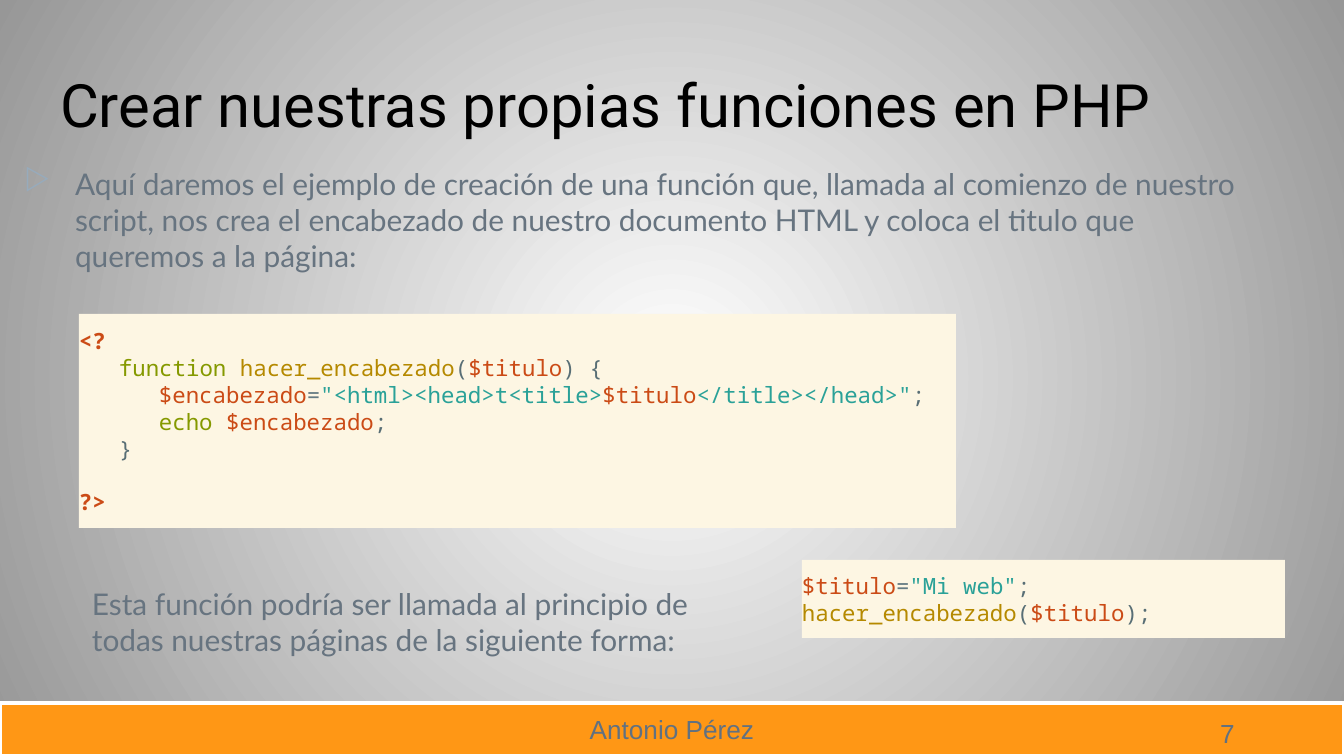
"""Build the slide on writing our own PHP functions."""
from pptx import Presentation
from pptx.dml.color import RGBColor
from pptx.enum.shapes import MSO_SHAPE
from pptx.enum.text import MSO_ANCHOR, PP_ALIGN
from pptx.oxml import parse_xml
from pptx.oxml.ns import nsdecls
from pptx.util import Pt

RECTANGLE = MSO_SHAPE.RECTANGLE
TOP, MIDDLE, BOTTOM = MSO_ANCHOR.TOP, MSO_ANCHOR.MIDDLE, MSO_ANCHOR.BOTTOM
LEFT, CENTER = PP_ALIGN.LEFT, PP_ALIGN.CENTER

BLACK = RGBColor(0x00, 0x00, 0x00)
WHITE = RGBColor(0xFF, 0xFF, 0xFF)
GRAY = RGBColor(0x97, 0x97, 0x97)
ORANGE = RGBColor(0xFF, 0x97, 0x15)
FOOTER_GRAY = RGBColor(0x61, 0x71, 0x81)
BODY_GRAY = RGBColor(0x67, 0x74, 0x80)
BULLET_BLUE = RGBColor(0x97, 0xAB, 0xBC)
CREAM = RGBColor(0xFD, 0xF6, 0xE3)
VARIABLE = RGBColor(0xCB, 0x4B, 0x16)
KEYWORD = RGBColor(0x85, 0x99, 0x00)
FUNCTION = RGBColor(0xB5, 0x89, 0x00)
STRING = RGBColor(0x2A, 0xA1, 0x98)
OPERATOR = RGBColor(0x65, 0x7B, 0x83)
PUNCTUATION = RGBColor(0x58, 0x6E, 0x75)

EMU_PER_PX = 914400 / 134.4
CODE_INDENT = 40

HEADER_CODE = [
    (0, [("<?", VARIABLE)]),
    (1, [("function ", KEYWORD), ("hacer_encabezado", FUNCTION), ("(", PUNCTUATION),
         ("$titulo", VARIABLE), (") {", PUNCTUATION)]),
    (2, [("$encabezado", VARIABLE), ("=", OPERATOR), ('"<html><head>t<title>', STRING),
         ("$titulo", VARIABLE), ('</title></head>"', STRING), (";", PUNCTUATION)]),
    (2, [("echo ", KEYWORD), ("$encabezado", VARIABLE), (";", PUNCTUATION)]),
    (1, [("}", PUNCTUATION)]),
    (0, [("?>", VARIABLE)]),
]
CALL_CODE = [
    (0, [("$titulo", VARIABLE), ("=", OPERATOR), ('"Mi web"', STRING), (";", PUNCTUATION)]),
    (0, [("hacer_encabezado", FUNCTION), ("(", PUNCTUATION), ("$titulo", VARIABLE),
         (");", PUNCTUATION)]),
]


def px(length):
    """Turn pixels into EMU."""
    return round(length * EMU_PER_PX)


class SlideBuilder:
    """Hold the style and the current slide."""

    def __init__(self, deck):
        self.slide = deck.slides.add_slide(deck.slide_layouts[5])

    def background(self, inner, outer):
        """Fill the slide with a circular gradient."""
        self.slide._element.cSld.insert(0, parse_xml(
            f'<p:bg {nsdecls("p", "a")}><p:bgPr><a:gradFill><a:gsLst>'
            f'<a:gs pos="0"><a:srgbClr val="{inner}"/></a:gs>'
            f'<a:gs pos="100000"><a:srgbClr val="{outer}"/></a:gs></a:gsLst>'
            '<a:path path="circle"><a:fillToRect l="50000" t="50000" r="50000" b="50000"/>'
            '</a:path></a:gradFill><a:effectLst/></p:bgPr></p:bg>'))

    def style(self, span, font, size, color, bold=False):
        """Format one run."""
        span.font.name, span.font.size, span.font.bold = font, Pt(size), bold
        span.font.color.rgb = color

    def frame(self, box, anchor, across, down):
        """Set wrapping, anchor and insets of a box."""
        frame = box.text_frame
        frame.word_wrap, frame.vertical_anchor = True, anchor
        frame.margin_left = frame.margin_right = px(across)
        frame.margin_top = frame.margin_bottom = px(down)
        return frame

    def paragraph(self, frame, text, font, size, color, align=LEFT):
        """Fill a frame with one formatted paragraph."""
        frame.text = text
        para = frame.paragraphs[0]
        para.alignment = align
        self.style(para.runs[0], font, size, color)
        return para

    def title(self, text, *place):
        """Move and fill the title placeholder."""
        box = self.slide.shapes.title
        box.left, box.top, box.width, box.height = map(px, place)
        self.paragraph(self.frame(box, BOTTOM, 13, 13), text, "Roboto", 32, BLACK)

    def text(self, text, *place, font="Lato", size=16, color=BODY_GRAY, inset=7):
        """Add a plain text box."""
        box = self.slide.shapes.add_textbox(*map(px, place))
        return self.paragraph(self.frame(box, TOP, 13, inset), text, font, size, color)

    def bullet(self, text, *place):
        """Add a text box with a bulleted paragraph."""
        para = self.text(text, *place, inset=13)
        para.space_before = Pt(6)
        properties = para._p.get_or_add_pPr()
        properties.set("marL", str(px(67)))
        properties.set("indent", str(px(-51)))
        properties.append(parse_xml(
            f'<a:buClr {nsdecls("a")}><a:srgbClr val="{BULLET_BLUE}"/></a:buClr>'))
        properties.append(parse_xml(f'<a:buChar {nsdecls("a")} char="▷"/>'))

    def rectangle(self, fill, *place):
        """Add a filled rectangle without outline."""
        box = self.slide.shapes.add_shape(RECTANGLE, *map(px, place))
        box.shadow.inherit = False
        box.fill.solid()
        box.fill.fore_color.rgb = fill
        box.line.fill.background()
        return box

    def code(self, lines, *place):
        """Add a panel of highlighted code."""
        frame = self.frame(self.rectangle(CREAM, *place), MIDDLE, 0, 12)
        for number, (level, spans) in enumerate(lines):
            para = frame.add_paragraph() if number else frame.paragraphs[0]
            para.alignment = LEFT
            para._p.get_or_add_pPr().set("marL", str(px(level * CODE_INDENT)))
            for text, color in spans:
                span = para.add_run()
                span.text = text
                self.style(span, "Noto Sans Mono", 12, color, text in ("<?", "?>"))
            if spans[0][0] == "?>":
                para.space_before = Pt(14)

    def footer(self, author, number):
        """Add the footer bar and the page number."""
        bar = self.rectangle(ORANGE, 0, 703, 1344, 53)
        bar.line.color.rgb, bar.line.width = WHITE, Pt(2)
        self.paragraph(self.frame(bar, MIDDLE, 13, 7), author, "Arial", 14, FOOTER_GRAY, CENTER)
        self.text(number, 1207, 710, 81, 46, font="Arial", size=14, color=FOOTER_GRAY)


def main():
    """Build and save the deck."""
    deck = Presentation()
    deck.slide_width, deck.slide_height = px(1344), px(756)
    page = SlideBuilder(deck)
    page.background(WHITE, GRAY)
    page.footer("Antonio Pérez", "7")
    page.title("Crear nuestras propias funciones en PHP", 47, 27, 1281, 126)
    page.bullet("Aquí daremos el ejemplo de creación de una función que, llamada al comienzo "
                "de nuestro script, nos crea el encabezado de nuestro documento HTML y coloca "
                "el titulo que queremos a la página:", -5, 153, 1270, 239)
    page.code(HEADER_CODE, 79, 314, 877, 214)
    page.text("Esta función podría ser llamada al principio de todas nuestras páginas "
              "de la siguiente forma:", 79, 579, 676, 86)
    page.code(CALL_CODE, 802, 560, 483, 78)
    deck.save("out.pptx")


if __name__ == "__main__":
    main()
